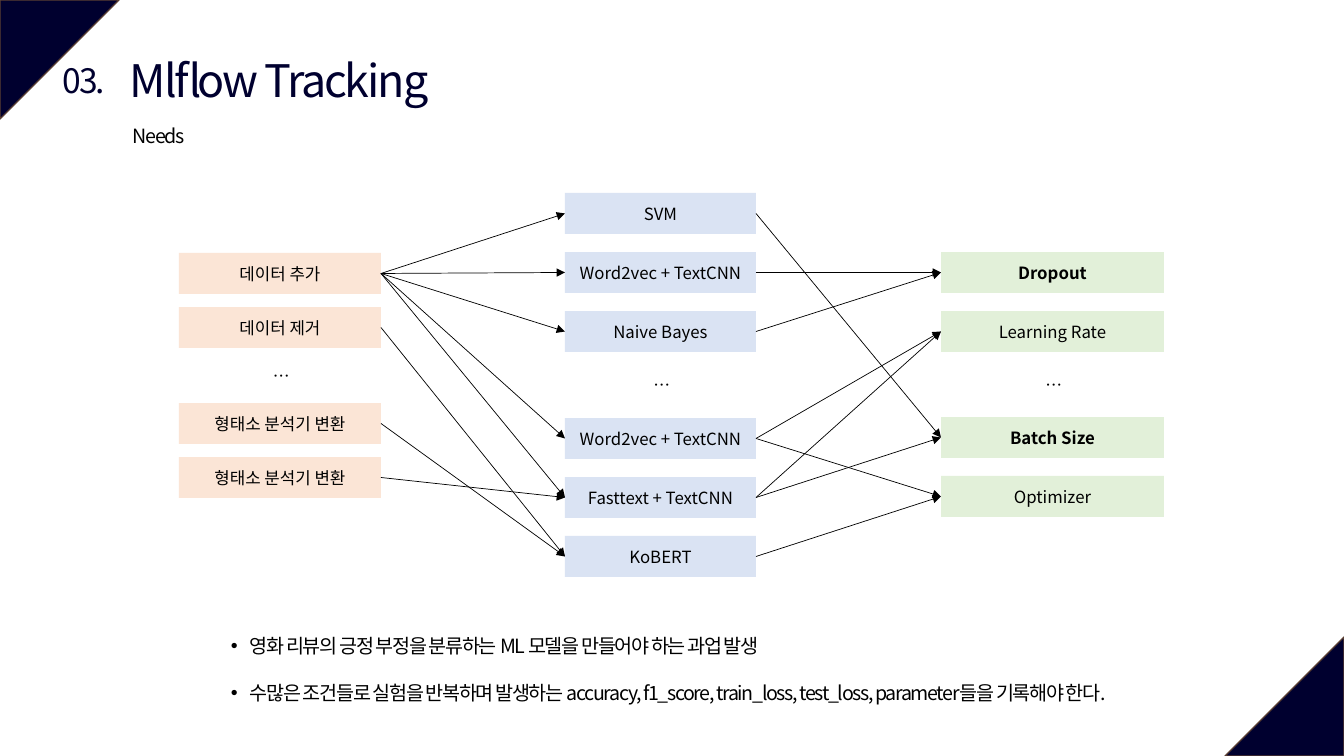
"""Builds the Mlflow Tracking slide: data, model and parameter columns joined by arrows."""
from dataclasses import dataclass

from lxml.etree import SubElement
from pptx import Presentation
from pptx.dml.color import RGBColor
from pptx.enum.shapes import MSO_CONNECTOR, MSO_SHAPE
from pptx.enum.text import MSO_ANCHOR, MSO_AUTO_SIZE, PP_ALIGN
from pptx.oxml.ns import qn
from pptx.util import Pt

HEADINGS = [
    ("03.", (50, 55, 68, 50), dict(size="number", color="navy", spc=-150, align=PP_ALIGN.CENTER)),
    ("Needs", (123, 119, 286, 34), dict(size="body", spc=-100)),
    ("Mlflow Tracking", (120, 48, 595, 65), dict(size="title", color="navy", spc=-150)),
]
BULLETS = [
    "영화 리뷰의 긍정 부정을 분류하는 ML 모델을 만들어야 하는 과업 발생",
    "수많은 조건들로 실험을 반복하며 발생하는 accuracy, f1_score, train_loss, test_loss, "
    "parameter들을 기록해야 한다.",
]
BULLET_BOX = (221, 608, 903, 99)
COLUMNS = {
    "data": dict(left=179, width=202, step=54, fill="peach", blocks=[
        (253, ["데이터 추가", "데이터 제거"]),
        (403, ["형태소 분석기 변환", "형태소 분석기 변환"])]),
    "model": dict(left=565, width=191, step=59, fill="blue", blocks=[
        (193, ["SVM", "Word2vec + TextCNN", "Naive Bayes"]),
        (418, ["Word2vec + TextCNN", "Fasttext + TextCNN", "KoBERT"])]),
    "param": dict(left=941, width=223, step=59, fill="green", blocks=[
        (252, ["Dropout", "Learning Rate"]),
        (417, ["Batch Size", "Optimizer"])]),
}
BOLD = {"Dropout", "Batch Size"}
LINKS = [
    ("data", "model", [(0, 0), (0, 1), (0, 2), (0, 3), (0, 4), (1, 5), (2, 5), (3, 4)]),
    ("model", "param", [(0, 2), (1, 0), (2, 0), (3, 1), (3, 3), (4, 1), (4, 2), (5, 3)]),
]
SLIDE_W, SLIDE_H = 1344, 756
CORNER, BOX_H, DOTS_W, DOTS_H, INDENT = 119, 41, 34, 30, 19
CORNERS = [(0, 0, 90), (SLIDE_W - CORNER, SLIDE_H - CORNER, 270)]


@dataclass(frozen=True)
class Theme:
    """Colours, type sizes and font of the slide."""
    font: str = "Noto Sans CJK KR"
    navy: str = "00002F"
    brown: str = "5B3F33"
    black: str = "000000"
    peach: str = "FBE5D6"
    blue: str = "DAE3F3"
    green: str = "E2F0D9"
    title: int = 32
    number: int = 24
    body: int = 14
    label: int = 12


THEME = Theme()


def px(n):
    """Turns px into EMU."""
    return round(n * 914400 / 100.8)


def rgb(name):
    """Looks up a theme colour."""
    return RGBColor.from_string(getattr(THEME, name))


def write(sp, *lines, size="label", color="black", bold=None, spc=None, align=None,
          anchor=MSO_ANCHOR.TOP, grow=False, bullet=False):
    """Fills a shape with one formatted paragraph per line."""
    tf = sp.text_frame
    tf.word_wrap = True
    tf.vertical_anchor = anchor
    if grow:
        tf.auto_size = MSO_AUTO_SIZE.SHAPE_TO_FIT_TEXT
    for i, text in enumerate(lines):
        p = tf.add_paragraph() if i else tf.paragraphs[0]
        p.alignment = align
        if bullet:
            p.line_spacing = 2.0
            pPr = p._p.get_or_add_pPr()
            pPr.set("marL", str(px(INDENT)))
            pPr.set("indent", str(-px(INDENT)))
            SubElement(pPr, qn("a:buFont")).set("typeface", "Arial")
            SubElement(pPr, qn("a:buChar")).set("char", "•")
        r = p.add_run()
        r.text = text
        r.font.size = Pt(getattr(THEME, size))
        r.font.bold = bold
        r.font.color.rgb = rgb(color)
        r.font.name = THEME.font
        rPr = r.font._element
        SubElement(rPr, qn("a:ea")).set("typeface", THEME.font)
        if spc:
            rPr.set("spc", str(spc))


def add_text(s, box, *lines, **fmt):
    """Adds a text box."""
    write(s.shapes.add_textbox(*map(px, box)), *lines, grow=True, **fmt)


def add_block(s, kind, box, fill, line=None):
    """Adds a filled shape without shadow."""
    sp = s.shapes.add_shape(kind, *map(px, box))
    sp.shadow.inherit = False
    sp.fill.solid()
    sp.fill.fore_color.rgb = rgb(fill)
    if line:
        sp.line.color.rgb = rgb(line)
        sp.line.width = Pt(1)
    else:
        sp.line.fill.background()
    return sp


def add_column(s, left, width, step, fill, blocks):
    """Stacks two blocks of boxes with dots halfway between them."""
    boxes = []
    for top, labels in blocks:
        for i, label in enumerate(labels):
            sp = add_block(s, MSO_SHAPE.RECTANGLE, (left, top + i * step, width, BOX_H), fill)
            write(sp, label, bold=label in BOLD or None, align=PP_ALIGN.CENTER,
                  anchor=MSO_ANCHOR.MIDDLE)
            boxes.append(sp)
    (first, labels), (second, _) = blocks
    gap_top = first + (len(labels) - 1) * step + BOX_H
    add_text(s, (left + (width - DOTS_W) / 2, (gap_top + second - DOTS_H) / 2, DOTS_W, DOTS_H),
             "…", spc=-100, align=PP_ALIGN.CENTER, anchor=MSO_ANCHOR.MIDDLE)
    return boxes


def add_arrow(s, source, target):
    """Joins the right side of one box to the left side of another."""
    c = s.shapes.add_connector(MSO_CONNECTOR.STRAIGHT, 0, 0, 0, 0)
    c.begin_connect(source, 3)
    c.end_connect(target, 1)
    c.line.color.rgb = rgb("black")
    c.line.width = Pt(0.5)
    spPr = c.element.spPr
    SubElement(spPr.find(qn("a:ln")), qn("a:tailEnd")).set("type", "triangle")
    SubElement(spPr, qn("a:effectLst"))


def main():
    """Draws and saves the slide."""
    prs = Presentation()
    prs.slide_width, prs.slide_height = px(SLIDE_W), px(SLIDE_H)
    s = prs.slides.add_slide(prs.slide_layouts[6])
    for left, top, turn in CORNERS:
        sp = add_block(s, MSO_SHAPE.ISOSCELES_TRIANGLE, (left, top, CORNER, CORNER), "navy", "brown")
        sp.adjustments[0] = 0
        sp.rotation = turn
    for text, box, fmt in HEADINGS:
        add_text(s, box, text, **fmt)
    add_text(s, BULLET_BOX, *BULLETS, size="body", spc=-100, anchor=MSO_ANCHOR.MIDDLE, bullet=True)
    boxes = {name: add_column(s, **column) for name, column in COLUMNS.items()}
    for source, target, pairs in LINKS:
        for i, j in pairs:
            add_arrow(s, boxes[source][i], boxes[target][j])
    prs.save("out.pptx")


if __name__ == "__main__":
    main()
